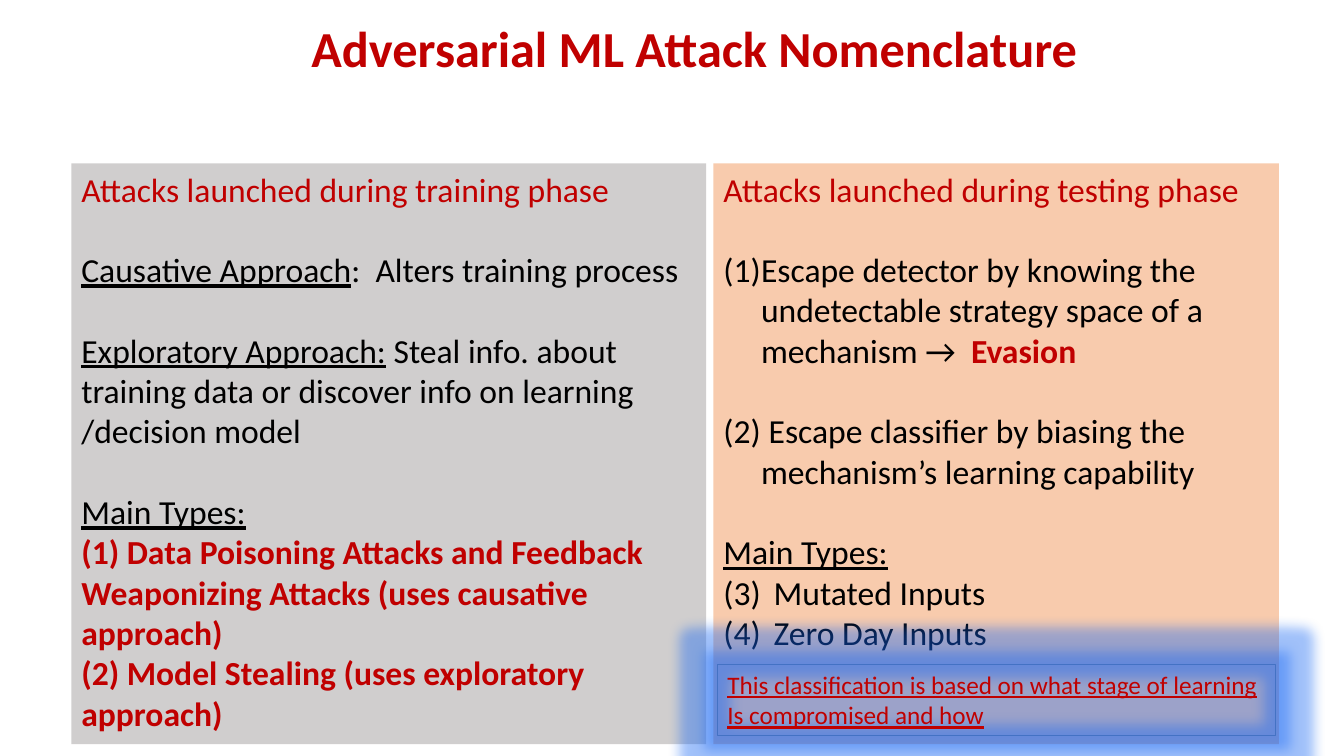
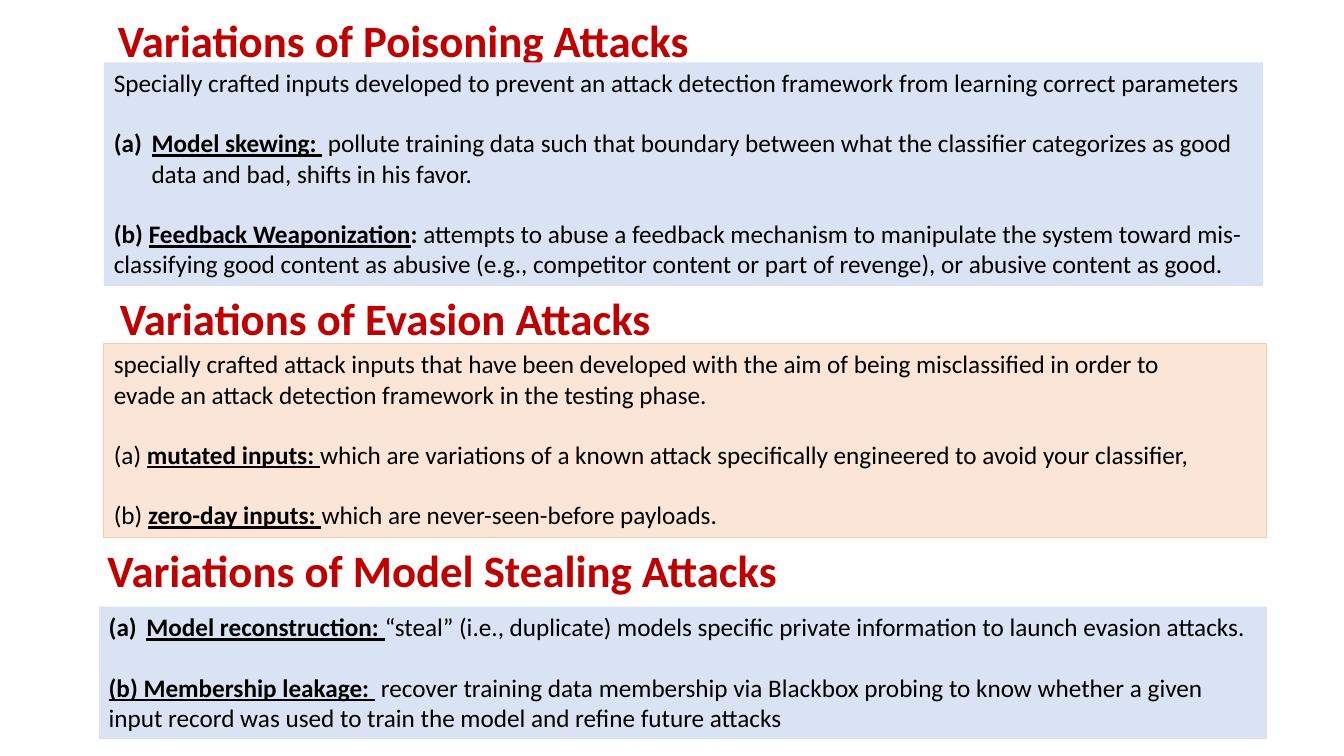
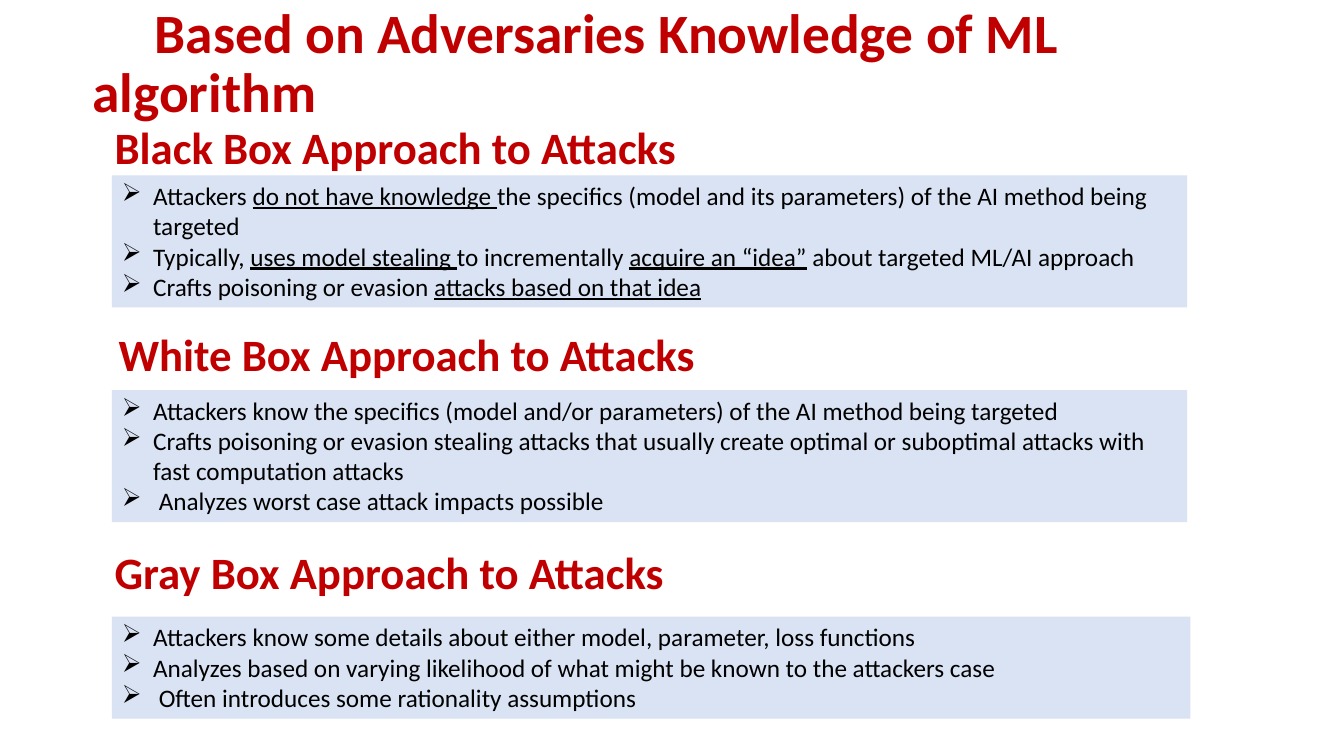
import pptx
import pptx.util
import pptx.dml.color
import pptx.enum.text
import pptx.oxml
import pptx.oxml.ns
from lxml import etree

Cm = pptx.util.Cm
Pt = pptx.util.Pt
RGBColor = pptx.dml.color.RGBColor
MSO_ANCHOR = pptx.enum.text.MSO_ANCHOR
MSO_AUTO_SIZE = pptx.enum.text.MSO_AUTO_SIZE
PP_ALIGN = pptx.enum.text.PP_ALIGN
qn = pptx.oxml.ns.qn

RED = RGBColor(0xC0, 0x00, 0x00)
BLACK = RGBColor(0x00, 0x00, 0x00)
GRAY = RGBColor(0xD0, 0xCE, 0xCE)
ORANGE = RGBColor(0xF8, 0xCB, 0xAD)
PEACH = RGBColor(0xFB, 0xE5, 0xD6)
PALE_BLUE = RGBColor(0xDA, 0xE3, 0xF3)
BLUE = RGBColor(0x44, 0x72, 0xC4)
FONT = "Calibri"
LINE = 1.2
NUMBER = "arabicParenBoth"
LETTER = "alphaLcParenBoth"
ARROW = "➢"

prs = pptx.Presentation()
prs.slide_width = Cm(33.87)
prs.slide_height = Cm(19.05)


def add_heading(s, at, text, size=32, spacing=0.9, align=PP_ALIGN.LEFT, indent=0):
    sp = s.shapes.add_textbox(*[Cm(v) for v in at])
    tf = sp.text_frame
    tf.word_wrap = True
    tf.auto_size = MSO_AUTO_SIZE.NONE
    tf.vertical_anchor = MSO_ANCHOR.MIDDLE
    p = tf.paragraphs[0]
    p.alignment = align
    p.line_spacing = spacing
    if indent:
        p._p.get_or_add_pPr().set("indent", str(Cm(indent)))
    r = p.add_run()
    r.text = text
    r.font.name = FONT
    r.font.size = Pt(size)
    r.font.bold = True
    r.font.color.rgb = RED


def add_box(s, at, paragraphs, size=18, fill=None, line=None):
    sp = s.shapes.add_textbox(*[Cm(v) for v in at])
    if fill is not None:
        sp.fill.solid()
        sp.fill.fore_color.rgb = fill
    if line is not None:
        sp.line.color.rgb = line
        sp.line.width = Pt(0.75)
    tf = sp.text_frame
    tf.word_wrap = True
    tf.auto_size = MSO_AUTO_SIZE.SHAPE_TO_FIT_TEXT
    for i, (gap, bullet, runs) in enumerate(paragraphs):
        p = tf.paragraphs[0] if i == 0 else tf.add_paragraph()
        p.space_before = Pt(round(gap * size * LINE, 1))
        if bullet:
            mark, start, indent = bullet
            pPr = p._p.get_or_add_pPr()
            pPr.set("marL", str(Cm(indent)))
            pPr.set("indent", str(-Cm(indent)))
            if mark == ARROW:
                etree.SubElement(pPr, qn("a:buChar"), char=mark)
            else:
                etree.SubElement(pPr, qn("a:buAutoNum"), type=mark, startAt=str(start))
        for text, style in runs:
            r = p.add_run()
            r.text = text
            r.font.name = FONT
            r.font.size = Pt(size)
            r.font.bold = "b" in style
            r.font.underline = "u" in style
            r.font.color.rgb = RED if "r" in style else BLACK
    return sp


blank = prs.slide_layouts[6]

s = prs.slides.add_slide(blank)
add_box(s, (1.8, 4.12, 16, 14.63), [
    (0, None, [("Attacks launched during training phase", "r")]),
    (1, None, [("Causative Approach", "u"), (":  Alters training process", "")]),
    (1, None, [("Exploratory Approach:", "u"),
               (" Steal info. about training data or discover info on learning /decision model", "")]),
    (1, None, [("Main Types:", "u")]),
    (0, None, [("(1) Data Poisoning Attacks and Feedback Weaponizing Attacks (uses causative approach)", "br")]),
    (0, None, [("(2) Model Stealing (uses exploratory approach)", "br")]),
], 24, GRAY)
add_box(s, (17.98, 4.12, 14.25, 14.63), [
    (0, None, [("Attacks launched during testing phase", "r")]),
    (1, (NUMBER, 1, 0.95), [
        ("Escape detector by knowing the undetectable strategy space of a mechanism →  ", ""),
        ("Evasion", "br")]),
    (1, (NUMBER, 2, 0.95), [(" Escape classifier by biasing the mechanism’s learning capability", "")]),
    (1, None, [("Main Types:", "u")]),
    (0, (NUMBER, 3, 1.27), [("Mutated Inputs", "")]),
    (0, (NUMBER, 4, 1.27), [("Zero Day Inputs", "")]),
], 24, ORANGE)
add_heading(s, (2.9, 0.15, 29.21, 2.29), "Adversarial ML Attack Nomenclature", 36, align=PP_ALIGN.CENTER)
note = add_box(s, (18.08, 16.74, 14.07, 1.8), [
    (0, None, [("This classification is based on what stage of learning", "ur")]),
    (0, None, [("Is compromised and how", "ur")]),
], line=BLUE)
effects = etree.SubElement(note._element.spPr, qn("a:effectLst"))
glow = etree.SubElement(effects, qn("a:glow"), rad=str(Pt(18)))
color = etree.SubElement(glow, qn("a:srgbClr"), val=str(BLUE))
etree.SubElement(color, qn("a:satMod"), val="175000")
etree.SubElement(color, qn("a:alpha"), val="40000")

s = prs.slides.add_slide(blank)
variations = [
    ("Variations of Poisoning Attacks", (2.72, 0.13), (2.62, 1.57, 29.21, 5.64), PALE_BLUE, None, [
        (0, None, [("Specially crafted inputs developed to prevent an attack detection framework "
                    "from learning correct parameters", "")]),
        (1, (LETTER, 1, 0.95), [
            ("Model skewing: ", "bu"),
            (" pollute training data such that boundary between what the classifier categorizes "
             "as good data and bad, shifts in his favor.", "")]),
        (1, None, [
            ("(b) ", "b"), ("Feedback Weaponization", "bu"), (": ", "b"),
            ("attempts to abuse a feedback mechanism to manipulate the system toward mis-classifying "
             "good content as abusive (e.g., competitor content or part of revenge), "
             "or abusive content as good.", "")]),
    ]),
    ("Variations of Evasion Attacks", (2.77, 7.14), (2.62, 8.66, 29.29, 4.88), PEACH, ORANGE, [
        (0, None, [("specially crafted attack inputs that have been developed with the aim of being "
                    "misclassified in order to", "")]),
        (0, None, [("evade an attack detection framework in the testing phase.", "")]),
        (1, None, [
            ("(a) ", ""), ("mutated inputs: ", "bu"),
            ("which are variations of a known attack specifically engineered to avoid your classifier,", "")]),
        (1, None, [
            ("(b) ", ""), ("zero-day inputs: ", "bu"), ("which are never-seen-before payloads.", "")]),
    ]),
    ("Variations of Model Stealing Attacks", (2.46, 13.49), (2.49, 15.29, 29.44, 3.33), PALE_BLUE, None, [
        (0, (LETTER, 1, 0.95), [
            ("Model reconstruction: ", "bu"),
            ("“steal” (i.e., duplicate) models specific private information to launch evasion attacks.", "")]),
        (1, None, [
            ("(b) Membership leakage: ", "bu"),
            (" recover training data membership via Blackbox probing to know whether a given input record "
             "was used to train the model and refine future attacks", "")]),
    ]),
]
for heading, corner, at, fill, line, paragraphs in variations:
    add_heading(s, (*corner, 29.21, 1.9), heading)
    add_box(s, at, paragraphs, fill=fill, line=line)

s = prs.slides.add_slide(blank)
approaches = [
    ("Black Box Approach to Attacks", (2.64, 2.84, 27.18, 1.9), 0.9, (2.82, 4.42, 27.1, 3.33), [
        [("Attackers ", ""), ("do not have knowledge ", "u"),
         ("the specifics (model and its parameters) of the AI method being targeted", "")],
        [("Typically, ", ""), ("uses model stealing ", "u"), ("to incrementally ", ""),
         ("acquire an “idea”", "u"), (" about targeted ML/AI approach", "")],
        [("Crafts poisoning or evasion ", ""), ("attacks based on that idea", "u")],
    ]),
    ("White Box Approach to Attacks", (2.74, 8.15, 27.18, 1.68), 0.9, (2.82, 9.83, 27.1, 3.33), [
        [("Attackers know the specifics (model and/or parameters) of the AI method being targeted", "")],
        [("Crafts poisoning or evasion stealing attacks that usually create optimal or suboptimal "
          "attacks with fast computation attacks", "")],
        [(" Analyzes worst case attack impacts possible", "")],
    ]),
    ("Gray Box Approach to Attacks", (2.64, 13.84, 27.18, 1.37), 0.8, (2.82, 15.54, 27.18, 2.57), [
        [("Attackers know some details about either model, parameter, loss functions", "")],
        [("Analyzes based on varying likelihood of what might be known to the attackers case", "")],
        [(" Often introduces some rationality assumptions", "")],
    ]),
]
for heading, heading_at, spacing, at, items in approaches:
    add_heading(s, heading_at, heading, spacing=spacing)
    add_box(s, at, [(0, (ARROW, 1, 0.79), runs) for runs in items], fill=PALE_BLUE)
add_heading(s, (2.08, 0.69, 30.1, 1.9), "Based on Adversaries Knowledge of ML algorithm", 39.6, indent=1.57)

prs.save("out.pptx")
